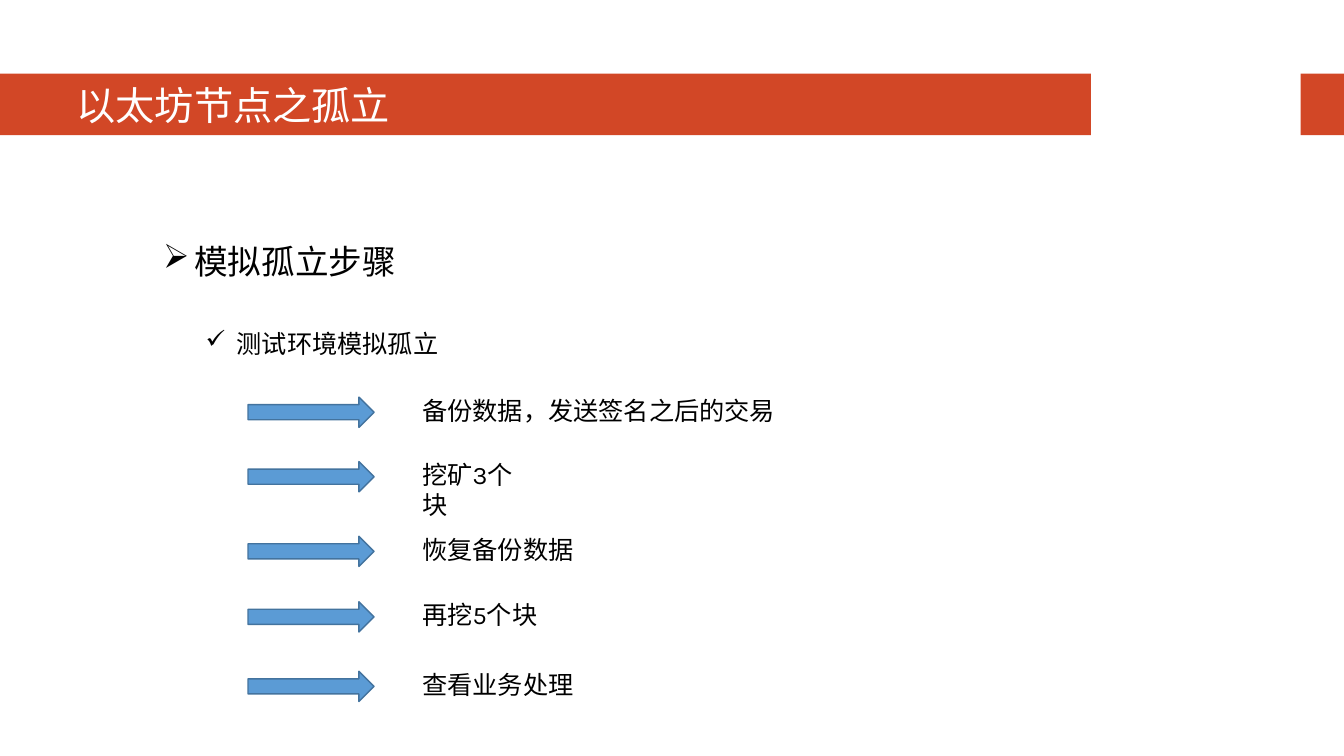
from dataclasses import dataclass

from lxml import etree
from pptx import Presentation
from pptx.dml.color import RGBColor
from pptx.enum.shapes import MSO_SHAPE as Preset
from pptx.enum.text import MSO_ANCHOR as Anchor, MSO_AUTO_SIZE as AutoSize, PP_ALIGN as Align
from pptx.oxml.ns import qn
from pptx.shapes.autoshape import Shape
from pptx.slide import Slide
from pptx.util import Inches, Pt

ORANGE = RGBColor(0xD2, 0x47, 0x26)
BLUE = RGBColor(0x5B, 0x9B, 0xD5)
BLUE_EDGE = RGBColor(0x43, 0x73, 0x9E)
BLACK = RGBColor(0, 0, 0)
WHITE = RGBColor(0xFF, 0xFF, 0xFF)
TITLE_FONT = "Noto Sans CJK SC"
BODY_FONT = "Karla"
BAR_TOP, BAR_HEIGHT = 0.73, 0.61
ARROW_LEFT, ARROW_WIDTH, ARROW_HEIGHT = 2.46, 1.25, 0.3
ARROW_DROP = 0.07
STEP_LEFT = 4.09
BULLET_INDENT = 0.31


@dataclass
class Label:
    text: str
    left: float
    top: float
    width: float
    height: float = 0.4
    size: int = 18
    bullet: str = ""


@dataclass
class Step:
    text: str
    top: float
    width: float


HEADINGS = [
    Label("模拟孤立步骤", 1.52, 2.34, 7.34, 0.5, 24, "➢"),
    Label("测试环境模拟孤立", 1.94, 3.21, 2.54, bullet="✓"),
]
STEPS = [
    Step("备份数据，发送签名之后的交易", 3.87, 3.74),
    Step("挖矿3个块", 4.51, 1.34),
    Step("恢复备份数据", 5.25, 1.72),
    Step("再挖5个块", 5.9, 1.34),
    Step("查看业务处理", 6.59, 1.76),
]


def add_preset(slide: Slide, preset: Preset, left: float, top: float,
               width: float, height: float, color: RGBColor) -> Shape:
    shape = slide.shapes.add_shape(
        preset, Inches(left), Inches(top), Inches(width), Inches(height))
    shape.shadow.inherit = False
    shape.fill.solid()
    shape.fill.fore_color.rgb = color
    shape.line.fill.background()
    return shape


def add_label(slide: Slide, label: Label) -> None:
    box = slide.shapes.add_textbox(
        Inches(label.left), Inches(label.top), Inches(label.width), Inches(label.height))
    box.text_frame.word_wrap = True
    paragraph = box.text_frame.paragraphs[0]
    paragraph.text = label.text
    if label.bullet:
        properties = paragraph._p.get_or_add_pPr()
        properties.set("marL", str(Inches(BULLET_INDENT)))
        properties.set("indent", str(-Inches(BULLET_INDENT)))
        etree.SubElement(properties, qn("a:buChar")).set("char", label.bullet)
    paragraph.font.name = BODY_FONT
    paragraph.font.size = Pt(label.size)
    paragraph.font.color.rgb = BLACK


def add_step(slide: Slide, step: Step) -> None:
    arrow = add_preset(slide, Preset.RIGHT_ARROW, ARROW_LEFT, step.top + ARROW_DROP,
                       ARROW_WIDTH, ARROW_HEIGHT, BLUE)
    arrow.line.color.rgb = BLUE_EDGE
    arrow.line.width = Pt(1)
    add_label(slide, Label(step.text, STEP_LEFT, step.top, step.width))


def format_title(slide: Slide, text: str) -> None:
    title = slide.shapes.title
    title.left, title.top = Inches(0.66), Inches(0.71)
    title.width, title.height = Inches(11.76), Inches(0.61)
    frame = title.text_frame
    frame.text = text
    frame.auto_size = AutoSize.NONE
    frame.vertical_anchor = Anchor.BOTTOM
    paragraph = frame.paragraphs[0]
    paragraph.alignment = Align.LEFT
    paragraph.font.name = TITLE_FONT
    paragraph.font.size = Pt(28)
    paragraph.font.color.rgb = WHITE


def main() -> None:
    presentation = Presentation()
    presentation.slide_width, presentation.slide_height = Inches(13.33), Inches(7.5)
    slide = presentation.slides.add_slide(presentation.slide_layouts[5])

    # Title over its bars
    format_title(slide, "以太坊节点之孤立")
    for left, width in ((0, 10.82), (12.9, 0.43)):
        bar = add_preset(slide, Preset.RECTANGLE, left, BAR_TOP, width, BAR_HEIGHT, ORANGE)
        slide.shapes.title.element.addprevious(bar.element)

    # Headings
    for heading in HEADINGS:
        add_label(slide, heading)

    # Steps with arrows
    for step in STEPS:
        add_step(slide, step)

    presentation.save("out.pptx")


if __name__ == "__main__":
    main()
